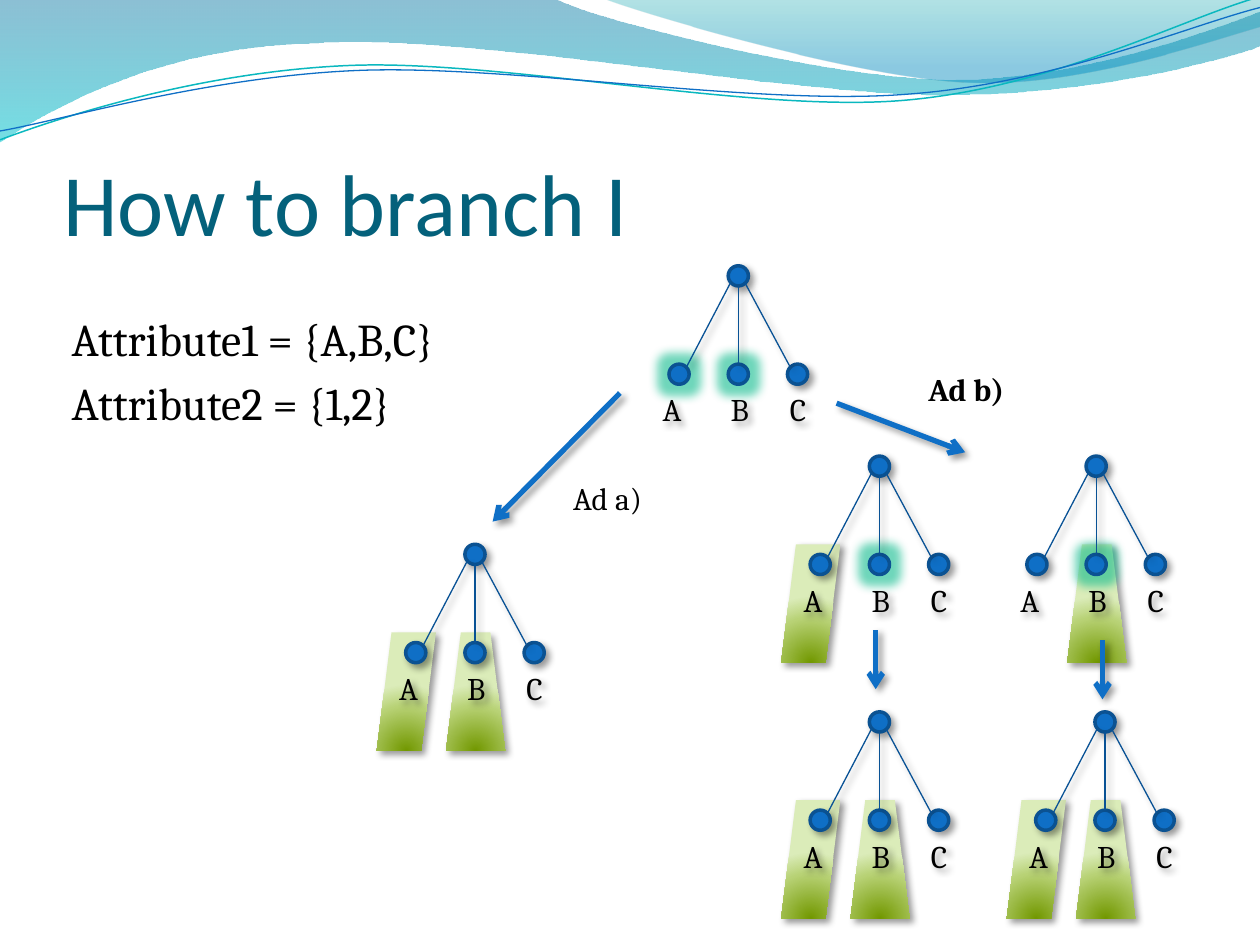
from math import cos, radians, sin

from pptx import Presentation
from pptx.dml.color import RGBColor
from pptx.enum.shapes import MSO_CONNECTOR as Connector, MSO_SHAPE as Shape
from pptx.enum.text import MSO_ANCHOR as Anchor, MSO_AUTO_SIZE as AutoSize, PP_ALIGN as Align
from pptx.oxml import parse_xml
from pptx.oxml.ns import nsdecls, qn
from pptx.util import Inches, Pt

COLORS = {
    "title": "04617B", "text": "000000", "node": "0F6FC6", "node_edge": "0B5292",
    "branch": "095295", "teal": "0AB8BF", "glow": "10BC8E",
}
SHADOW = ('<a:outerShdw blurRad="50800" dist="38100" dir="2700000" algn="tl" rotWithShape="0">'
          '<a:srgbClr val="000000"><a:alpha val="40000"/></a:srgbClr></a:outerShdw>')
GLOW = ('<a:glow rad="139700"><a:srgbClr val="%s"><a:alpha val="60000"/></a:srgbClr></a:glow>'
        % COLORS["glow"])
LINEAR = '<a:lin ang="5400000" scaled="1"/>'
RADIAL = '<a:path path="circle"><a:fillToRect l="50000" t="130000" r="50000" b="-30000"/></a:path>'
GREEN = [(0, "729800", 100), (68, "B8D275", 100), (100, "DBECB9", 100)]
NODE = 0.16
TILT = 2.7

WAVES = [
    ([(0, 0), (4.4, -0.01), (4.76, 0.17, 6.64, 0.63, 7.58, 0.63),
      (8.53, 0.63, 9.58, 0.26, 10, 0.09), (10.01, 0.36),
      (9.83, 0.44, 8.7, 0.76, 7.46, 0.75), (6.22, 0.75, 3.82, 0.28, 2.57, 0.34),
      (1.29, 0.36, 0.46, 0.83, -0.01, 1.13), (0, 0)],
     [(0, "0074A1", 45), (100, "00C6CF", 55)]),
    ([(4.79, -0.01), (5.09, 0.11, 6.82, 0.62, 7.69, 0.65),
      (8.56, 0.69, 9.61, 0.32, 10, 0.21), (10, 0), (4.79, -0.01)],
     [(0, "00A1A9", 30), (80, "008BBF", 45)]),
]
RIBBONS = [
    ([(0, 1.11), (0.48, 0.93, 1.58, 0.57, 2.77, 0.52),
      (3.95, 0.47, 5.93, 0.89, 7.13, 0.8), (8.33, 0.71, 9.38, 0.15, 9.98, -0.02)],
     (4.99, 0.57), "teal", 0.85),
    ([(0, 1.04), (0.47, 0.96, 1.64, 0.61, 2.83, 0.56),
      (4.03, 0.51, 5.97, 0.84, 7.17, 0.75), (8.36, 0.67, 9.41, 0.21, 10, 0.06)],
     (5, 0.59), "node", 0.75),
]
TREES = [
    (5.78, 2.11, "", "AB"), (3.69, 4.32, "AB", ""), (6.9, 3.62, "A", "B"),
    (8.62, 3.62, "B", "B"), (6.9, 5.65, "AB", ""), (8.69, 5.65, "AB", ""),
]
HIGHLIGHTS = {"A": (Shape.PARALLELOGRAM, -0.7), "B": (Shape.TRAPEZOID, -0.15)}
CHILDREN = [
    ("A", -0.47, -0.62, (0.02, 0.13), (-0.33, 0.8)),
    ("B", 0, -0.08, (0.08, 0.16), (0.08, 0.78)),
    ("C", 0.47, 0.39, (0.13, 0.13), (0.49, 0.8)),
]
ARROWS = [
    (4.92, 3.12, 3.91, 4.14), (6.64, 3.2, 7.66, 3.59),
    (6.95, 5, 6.95, 5.47), (8.75, 5.08, 8.75, 5.55),
]


def rgb(name):
    return RGBColor.from_string(COLORS[name])


def apply(target, values):
    for name, value in values.items():
        setattr(target, name, value)


def set_effect(shape, effect=""):
    shape._element.spPr.append(
        parse_xml(f'<a:effectLst {nsdecls("a")}>{effect}</a:effectLst>'))


def set_gradient(shape, stops, direction):
    shape.fill.background()
    marks = "".join(
        f'<a:gs pos="{pos * 1000}"><a:srgbClr val="{color}">'
        f'<a:alpha val="{alpha * 1000}"/></a:srgbClr></a:gs>' for pos, color, alpha in stops)
    properties = shape._element.spPr
    properties.replace(properties.find(qn("a:noFill")), parse_xml(
        f'<a:gradFill {nsdecls("a")} rotWithShape="1"><a:gsLst>{marks}</a:gsLst>'
        f'{direction}</a:gradFill>'))


def set_line(shape, color, width):
    shape.line.color.rgb = rgb(color)
    shape.line.width = Pt(width)


def turn(segments, center, angle):
    c, s = cos(radians(angle)), sin(radians(angle))
    turned = []
    for segment in segments:
        offsets = [(x - center[0], y - center[1]) for x, y in zip(segment[::2], segment[1::2])]
        turned.append(sum(((center[0] + x * c - y * s, center[1] + x * s + y * c)
                           for x, y in offsets), ()))
    return turned


def add_curve(page, segments, close):
    ends = [tuple(map(Inches, segment[-2:])) for segment in segments]
    builder = page.shapes.build_freeform(*ends[0])
    builder.add_line_segments(ends[1:], close=close)
    curve = builder.convert_to_shape()
    straight = list(curve._element.iter(qn("a:lnTo")))
    for line, segment in zip(straight, segments[1:]):
        if len(segment) == 6:
            points = "".join(
                f'<a:pt x="{Inches(x) - curve.left}" y="{Inches(y) - curve.top}"/>'
                for x, y in zip(segment[::2], segment[1::2]))
            line.getparent().replace(line, parse_xml(
                f'<a:cubicBezTo {nsdecls("a")}>{points}</a:cubicBezTo>'))
    curve.fill.background()
    curve.line.fill.background()
    set_effect(curve)
    return curve


def add_ribbon(page, segments, center, color, width):
    ribbon = add_curve(page, turn(segments, center, TILT), False)
    ribbon.rotation = 360 - TILT
    set_line(ribbon, color, width)


def add_line(page, ends, color, width, arrow=False):
    line = page.shapes.add_connector(Connector.STRAIGHT, *map(Inches, ends))
    set_line(line, color, width)
    if arrow:
        line._element.spPr.find(qn("a:ln")).append(
            parse_xml(f'<a:tailEnd {nsdecls("a")} type="arrow"/>'))
    set_effect(line, SHADOW)


def write(frame, lines, size, font="Cambria", color="text", bold=False, before=0):
    for index, text in enumerate(lines):
        para = frame.paragraphs[0] if index == 0 else frame.add_paragraph()
        apply(para, {"alignment": Align.LEFT, "space_before": Pt(before)})
        span = para.add_run()
        span.text = text
        apply(span.font, {"size": Pt(size), "name": font, "bold": bold})
        span.font.color.rgb = rgb(color)


def add_text(page, place, lines, size=18, wrap=True, fit=AutoSize.SHAPE_TO_FIT_TEXT, **style):
    box = page.shapes.add_textbox(*map(Inches, place))
    apply(box.text_frame, {"word_wrap": wrap, "auto_size": fit})
    write(box.text_frame, lines, size, **style)
    return box


def add_highlight(page, kind, left, top):
    shape = page.shapes.add_shape(kind, *map(Inches, (left, top, 0.47, 0.94)))
    set_gradient(shape, GREEN, RADIAL)
    shape.line.fill.background()
    set_effect(shape, SHADOW)


def add_node(page, left, top, effect=SHADOW):
    node = page.shapes.add_shape(Shape.OVAL, *map(Inches, (left, top, NODE, NODE)))
    node.fill.solid()
    node.fill.fore_color.rgb = rgb("node")
    set_line(node, "node_edge", 2)
    set_effect(node, effect)


def add_tree(page, left, top, highlighted, glowing):
    for name in highlighted:
        kind, shift = HIGHLIGHTS[name]
        add_highlight(page, kind, left + shift, top + 0.7)
    add_node(page, left, top)
    for name, shift, label_shift, start, end in CHILDREN:
        add_node(page, left + shift, top + 0.78, GLOW if name in glowing else SHADOW)
        add_line(page, (left + start[0], top + start[1], left + end[0], top + end[1]),
                 "branch", 0.75)
        label = add_text(page, (left + label_shift, top + 0.94, 0.31, 0.4), [name])
        set_effect(label, SHADOW)


def add_title(page, text):
    title = page.shapes.title
    apply(title, {"left": Inches(0.5), "top": Inches(0.77),
                  "width": Inches(9), "height": Inches(1.25)})
    apply(title.text_frame, {
        "vertical_anchor": Anchor.BOTTOM, "auto_size": AutoSize.NONE, "margin_left": 0,
        "margin_top": Inches(0.05), "margin_right": 0, "margin_bottom": 0})
    write(title.text_frame, [text], 50, "Calibri", "title")
    page.shapes._spTree.append(title._element)


def main():
    deck = Presentation()
    apply(deck, {"slide_width": Inches(10), "slide_height": Inches(7.5)})
    page = deck.slides.add_slide(deck.slide_layouts[5])
    for segments, stops in WAVES:
        set_gradient(add_curve(page, segments, True), stops, LINEAR)
    for ribbon in RIBBONS:
        add_ribbon(page, *ribbon)
    add_title(page, "How to branch I")
    add_text(page, (0.47, 2.42, 3.83, 1.33), ["Attribute1 = {A,B,C}", "Attribute2 = {1,2}"],
             size=26, fit=AutoSize.NONE, before=5.2)
    for tree in TREES:
        add_tree(page, *tree)
    for ends in ARROWS:
        add_line(page, ends, "node", 3, arrow=True)
    add_text(page, (4.45, 3.75, 0.78, 0.4), ["Ad a)"], wrap=False)
    add_text(page, (7.27, 2.89, 0.84, 0.4), ["Ad b)"], wrap=False, bold=True)
    deck.save("out.pptx")


main()
